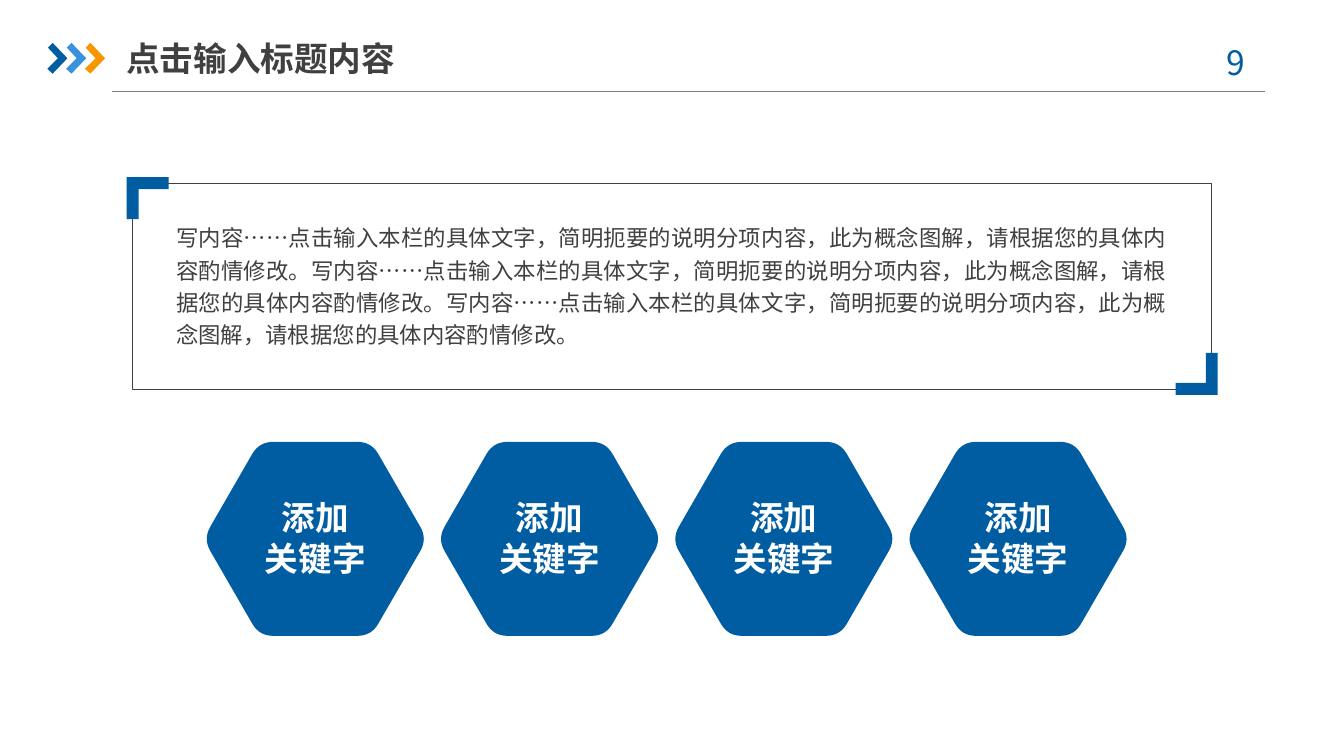
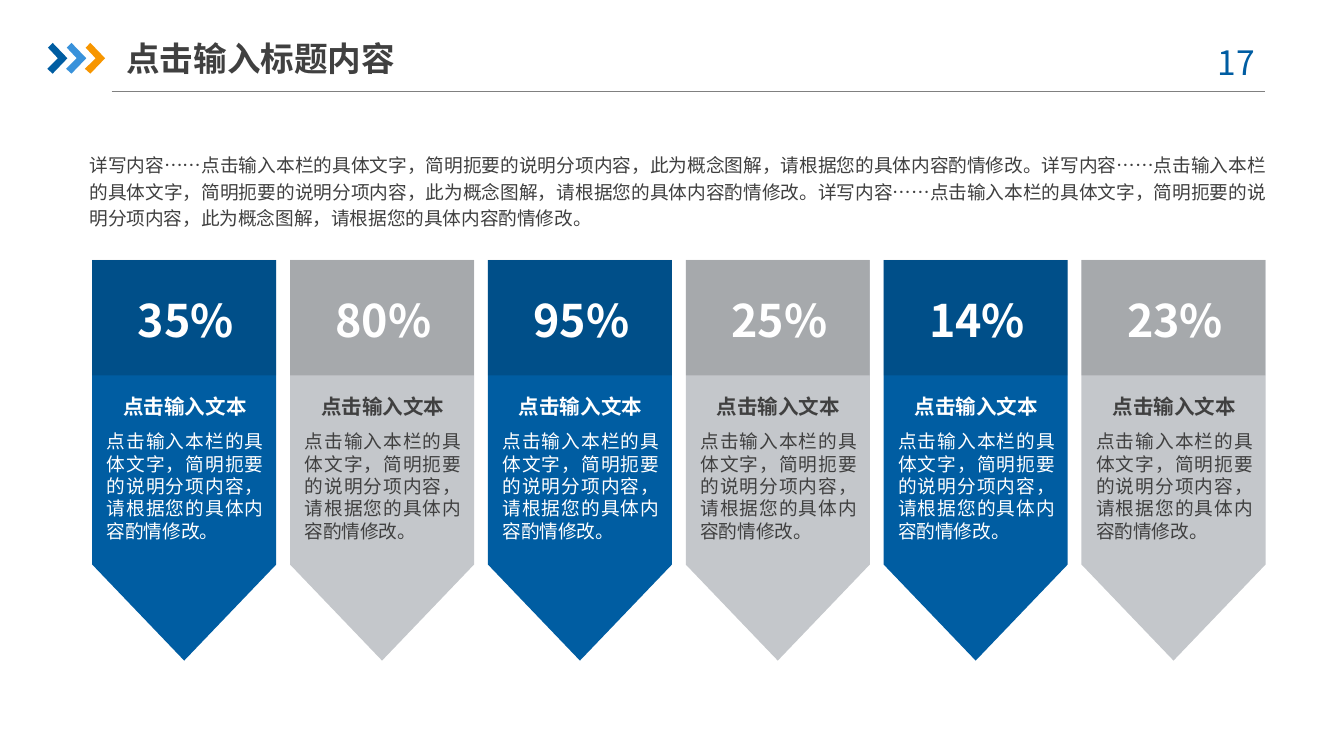
"""Build two keyword and percentage slides that share one header style."""
from math import cos, radians, sin

from lxml.etree import SubElement
from pptx import Presentation
from pptx.dml.color import RGBColor
from pptx.enum.shapes import MSO_CONNECTOR, MSO_SHAPE
from pptx.enum.text import MSO_ANCHOR, MSO_AUTO_SIZE, PP_ALIGN
from pptx.oxml.ns import qn
from pptx.util import Pt

BLUE = RGBColor(0x00, 0x5D, 0xA2)
SKY = RGBColor(0x39, 0x92, 0xDB)
ORANGE = RGBColor(0xF7, 0x96, 0x00)
SILVER = RGBColor(0xC4, 0xC7, 0xCB)
RULE_GREY = RGBColor(0x80, 0x80, 0x80)
INK = RGBColor(0x40, 0x40, 0x40)
BLACK = RGBColor(0x00, 0x00, 0x00)
WHITE = RGBColor(0xFF, 0xFF, 0xFF)

FONT = "Noto Sans CJK SC"
TIGHT = (2.7, 1.35)
CHEVRON = [(0.4, 2.6), (2.9, 0), (10.8, 8.25), (2.9, 16.5), (0, 13.9), (5.7, 8.25)]
BRACKET = [(0, 0), (22.5, 0), (22.5, 6.4), (6.4, 6.4), (6.4, 22.5), (0, 22.5)]

HEADING = "点击输入标题内容"
DETAIL = "写内容……点击输入本栏的具体文字，简明扼要的说明分项内容，此为概念图解，请根据您的具体内容酌情修改。"
CARD_HEADING = "点击输入文本"
CARD_DETAIL = "点击输入本栏的具体文字，简明扼要的说明分项内容，请根据您的具体内容酌情修改。"
KEYWORD = ["添加", "关键字"]
PERCENTAGES = ["35%", "80%", "95%", "25%", "14%", "23%"]


def between(start, end, share):
    """Return the point that lies the given share of the way to the end."""
    return tuple(a + (b - a) * share for a, b in zip(start, end))


class Deck:
    """Hold the presentation style and the slide being drawn."""

    def __init__(self):
        """Open an empty widescreen presentation."""
        self.presentation = Presentation()
        self.presentation.slide_width = Pt(720)
        self.presentation.slide_height = Pt(405)
        self.slide = None

    def start(self, number):
        """Add a slide with the shared title, chevrons, rule and page number."""
        layout = self.presentation.slide_layouts[1]
        self.slide = self.presentation.slides.add_slide(layout)
        self.rule((59.8, 49.2), (677.5, 49.2))
        for position, color in enumerate((BLUE, SKY, ORANGE)):
            left = 25.3 + 10.1 * position
            self.outline([(left + x, 23 + y) for x, y in CHEVRON], color)
        self.text((637.9, 18.7, 52.6, 28.8), [f"{number} "], 18, BLUE,
                  align=PP_ALIGN.CENTER, insets=(7.2, 3.6))
        title = self.slide.shapes.title
        self.place(title, (67.7, 15.8, 167.8, 30.2))
        self.letter(title, [HEADING], 18, INK, bold=True, insets=(0, 3.6),
                    anchor=MSO_ANCHOR.MIDDLE)

    def place(self, shape, box):
        """Move and size a shape."""
        shape.left, shape.top, shape.width, shape.height = map(Pt, box)

    def letter(self, shape, lines, size, color, bold=False, align=PP_ALIGN.LEFT,
               insets=(0, 0), anchor=MSO_ANCHOR.TOP, spacing=1.0, before=0):
        """Fill a shape with one run for each line."""
        frame = shape.text_frame
        frame.word_wrap = True
        frame.auto_size = MSO_AUTO_SIZE.NONE
        frame.vertical_anchor = anchor
        frame.margin_left = frame.margin_right = Pt(insets[0])
        frame.margin_top = frame.margin_bottom = Pt(insets[1])
        for index, line in enumerate(lines):
            paragraph = frame.add_paragraph() if index else frame.paragraphs[0]
            paragraph.alignment = align
            paragraph.line_spacing = spacing
            paragraph.space_before = Pt(before)
            run = paragraph.add_run()
            run.text = line
            run.font.size = Pt(size)
            run.font.bold = bold
            run.font.color.rgb = color
            run.font.name = FONT
            SubElement(run.font._element, qn("a:ea"), typeface=FONT)

    def text(self, box, lines, size, color, **style):
        """Add a text box."""
        textbox = self.slide.shapes.add_textbox(*map(Pt, box))
        self.letter(textbox, lines, size, color, **style)

    def body(self, box, content, size, **style):
        """Set the body placeholder as a justified paragraph without a bullet."""
        body = self.slide.placeholders[1]
        self.place(body, box)
        self.letter(body, [content], size, INK, align=PP_ALIGN.JUSTIFY,
                    spacing=1.2, **style)
        properties = body.text_frame.paragraphs[0]._p.get_or_add_pPr()
        properties.set("marL", "0")
        properties.set("indent", "0")
        SubElement(properties, qn("a:buNone"))

    def rule(self, start, end):
        """Add a thin grey line."""
        rule = self.slide.shapes.add_connector(
            MSO_CONNECTOR.STRAIGHT, *map(Pt, start + end))
        rule.line.color.rgb = RULE_GREY
        rule.line.width = Pt(0.75)
        SubElement(rule._element.spPr, qn("a:effectLst"))

    def paint(self, shape, color, opacity=100):
        """Give a shape a plain fill without line or shadow."""
        shape.shadow.inherit = False
        shape.line.fill.background()
        shape.fill.solid()
        shape.fill.fore_color.rgb = color
        if opacity < 100:
            tint = shape._element.spPr.find(".//" + qn("a:srgbClr"))
            SubElement(tint, qn("a:alpha"), val=str(opacity * 1000))

    def preset(self, kind, box, adjustments=()):
        """Add a preset shape."""
        shape = self.slide.shapes.add_shape(kind, *map(Pt, box))
        for index, value in enumerate(adjustments):
            shape.adjustments[index] = value
        return shape

    def frame(self, box):
        """Add an unfilled frame with a hairline."""
        frame = self.preset(MSO_SHAPE.ROUNDED_RECTANGLE, box, [0])
        frame.shadow.inherit = False
        frame.fill.background()
        frame.line.color.rgb = INK
        frame.line.width = Pt(0.25)

    def outline(self, points, color):
        """Add a filled polygon."""
        corners = [(Pt(x), Pt(y)) for x, y in points]
        builder = self.slide.shapes.build_freeform(*corners[0])
        builder.add_line_segments(corners[1:], close=True)
        shape = builder.convert_to_shape()
        self.paint(shape, color)
        return shape

    def bracket(self, left, top, direction):
        """Add a corner bracket that opens in the given direction."""
        self.outline([(left + direction * x, top + direction * y)
                      for x, y in BRACKET], BLUE)

    def hexagon(self, center, radius=60, trim=7.5):
        """Add a regular hexagon with each corner rounded by two curves."""
        vertices = [(center[0] + radius * cos(radians(angle)),
                     center[1] + radius * sin(radians(angle)))
                    for angle in range(0, 360, 60)]
        points = []
        for index, vertex in enumerate(vertices):
            entry = between(vertex, vertices[index - 1], trim / radius)
            leave = between(vertex, vertices[(index + 1) % 6], trim / radius)
            first = between(entry, vertex, 0.5)
            second = between(vertex, leave, 0.5)
            points += [entry, first, between(first, second, 0.5), second, leave]
        shape = self.outline(points, BLUE)
        contour = shape._element.find(".//" + qn("a:path"))
        segments = contour.findall(qn("a:lnTo"))
        for start in range(0, len(segments), 5):
            for control, end in (segments[start:start + 2],
                                 segments[start + 2:start + 4]):
                control.tag = qn("a:quadBezTo")
                control.append(end[0])
                contour.remove(end)

    def keyword(self, center):
        """Add a hexagon with its two-line label."""
        self.hexagon(center)
        self.text((center[0] - 38, center[1] - 22.3, 76, 44), KEYWORD, 18, WHITE,
                  bold=True, align=PP_ALIGN.CENTER)

    def banner(self, left, percentage, color, ink):
        """Add a pointed banner with a darker head and three texts."""
        self.paint(self.preset(MSO_SHAPE.DOWN_ARROW, (left, 139.3, 98.6, 214.6),
                               [1, 0.522]), color)
        self.paint(self.preset(MSO_SHAPE.RECTANGLE, (left, 139.3, 98.6, 61.9)),
                   BLACK, opacity=15)
        self.text((left + 10.8, 155.5, 78.5, 33), [percentage], 24, WHITE,
                  bold=True, align=PP_ALIGN.CENTER, insets=TIGHT, before=4.8)
        self.text((left + 12.2, 209.5, 75, 18.7), [CARD_HEADING], 11, ink,
                  bold=True, align=PP_ALIGN.CENTER, insets=TIGHT, before=2.2)
        self.text((left + 5.1, 229, 89.3, 49), [CARD_DETAIL], 10, ink,
                  align=PP_ALIGN.JUSTIFY, insets=TIGHT, before=2)


def main():
    """Draw both slides and save them."""
    deck = Deck()

    deck.start(9)
    deck.frame((70.6, 98.3, 578.2, 110.2))
    deck.body((94.3, 117.4, 531.4, 68.4), DETAIL * 3, 12)
    deck.bracket(67.9, 94.9, 1)
    deck.bracket(652.4, 211.5, -1)
    for column in range(4):
        deck.keyword((168.9 + 125.5 * column, 288.7))

    deck.start(17)
    deck.body((45.2, 78.5, 635.5, 50.4), ("详" + DETAIL) * 3, 10,
              insets=TIGHT, before=2)
    for column, percentage in enumerate(PERCENTAGES):
        color, ink = ((BLUE, WHITE), (SILVER, INK))[column % 2]
        deck.banner(49.4 + 106 * column, percentage, color, ink)

    deck.presentation.save("out.pptx")


main()
